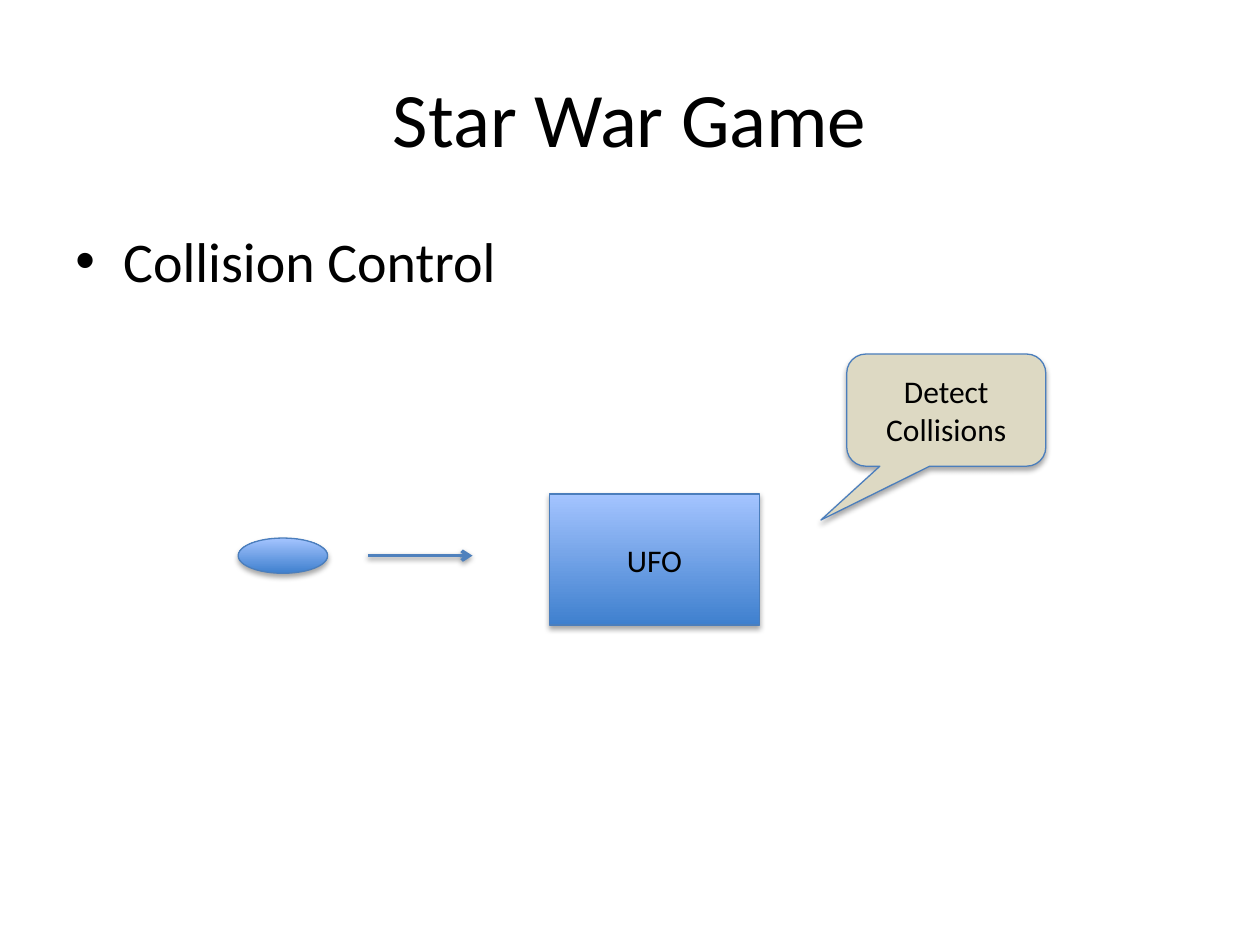
from lxml.etree import SubElement
from pptx import Presentation
from pptx.dml.color import RGBColor
from pptx.enum.shapes import MSO_CONNECTOR, MSO_SHAPE as SHAPE
from pptx.enum.text import MSO_ANCHOR as ANCHOR, PP_ALIGN as ALIGN
from pptx.oxml.ns import qn
from pptx.util import Inches, Pt

BLACK = RGBColor(0x00, 0x00, 0x00)
DEEP_BLUE = RGBColor(0x3F, 0x80, 0xCE)
PALE_BLUE = RGBColor(0xA4, 0xC4, 0xFF)
OUTLINE = RGBColor(0x4B, 0x7E, 0xBC)
ARROW_BLUE = RGBColor(0x4F, 0x81, 0xBD)
TAN = RGBColor(0xDD, 0xD9, 0xC3)
BLUE_GRADIENT = (DEEP_BLUE, PALE_BLUE)

WIDTH, HEIGHT = 10, 7.5
MARGIN = WIDTH / 20
TEXT_WIDTH = WIDTH - 2 * MARGIN

TITLE = "Star War Game"
BULLET = "Collision Control"
# kind, (left, top, width, height), fill, adjustments, label
SHAPES = [
    (SHAPE.RECTANGLE, (4.36, 3.92, 1.67, 1.04), BLUE_GRADIENT, (), "UFO"),
    (SHAPE.OVAL, (1.89, 4.27, 0.71, 0.28), BLUE_GRADIENT, (), ""),
    (SHAPE.ROUNDED_RECTANGULAR_CALLOUT, (6.72, 2.81, 1.58, 0.89), TAN,
     (-0.63, 0.98, 0.17), "Detect Collisions"),
]
ARROW_START, ARROW_END, ARROW_Y = 2.92, 3.75, 4.41


def write(s, text, size=18, align=ALIGN.CENTER, anchor=ANCHOR.MIDDLE, bullet=None):
    tf = s.text_frame
    tf.word_wrap = True
    tf.vertical_anchor = anchor
    p = tf.paragraphs[0]
    p.alignment = align
    r = p.add_run()
    r.text = text
    r.font.size, r.font.name = Pt(size), "Calibri"
    r.font.color.rgb = BLACK
    if bullet:
        p.space_before = Pt(size * 0.2)
        pPr = p._p.get_or_add_pPr()
        indent = Inches(0.38)
        pPr.set("marL", str(indent))
        pPr.set("indent", str(-indent))
        SubElement(pPr, qn("a:buFont"), typeface="Arial")
        SubElement(pPr, qn("a:buChar"), char=bullet)


def add_shadow(s, alpha=35, distance=1.8):
    effects = SubElement(s._element.spPr, qn("a:effectLst"))
    shadow = SubElement(effects, qn("a:outerShdw"), blurRad=str(Pt(3.1)),
                        dist=str(Pt(distance)), dir="5400000", rotWithShape="0")
    color = SubElement(shadow, qn("a:srgbClr"), val=str(BLACK))
    SubElement(color, qn("a:alpha"), val=str(alpha * 1000))


def add_text_box(slide, top, height, text, **style):
    box = map(Inches, (MARGIN, top, TEXT_WIDTH, height))
    write(slide.shapes.add_textbox(*box), text, **style)


def add_figure(slide, kind, box, fill, adjustments, label):
    s = slide.shapes.add_shape(kind, *map(Inches, box))
    for i, value in enumerate(adjustments):
        s.adjustments[i] = value
    if fill is BLUE_GRADIENT:
        s.fill.gradient()
        s.fill.gradient_angle = 90
        for stop, color in zip(s.fill.gradient_stops, fill):
            stop.color.rgb = color
    else:
        s.fill.solid()
        s.fill.fore_color.rgb = fill
    s.line.color.rgb = OUTLINE
    s.line.width = Pt(0.75)
    add_shadow(s)
    if label:
        write(s, label)


def add_arrow(slide, start, end, y):
    s = slide.shapes.add_connector(MSO_CONNECTOR.STRAIGHT,
                                   *map(Inches, (start, y, end, y)))
    s.line.color.rgb = ARROW_BLUE
    s.line.width = Pt(2)
    SubElement(s.line._get_or_add_ln(), qn("a:tailEnd"), type="arrow")
    add_shadow(s, alpha=38, distance=1.6)


def main():
    prs = Presentation()
    prs.slide_width, prs.slide_height = Inches(WIDTH), Inches(HEIGHT)
    slide = prs.slides.add_slide(prs.slide_layouts[6])
    add_text_box(slide, 0.3, 1.25, TITLE, size=44)
    add_text_box(slide, 1.75, 0.85, BULLET, size=32, align=ALIGN.LEFT,
                 anchor=ANCHOR.TOP, bullet="•")
    for figure in SHAPES:
        add_figure(slide, *figure)
    add_arrow(slide, ARROW_START, ARROW_END, ARROW_Y)
    prs.save("out.pptx")


if __name__ == "__main__":
    main()
